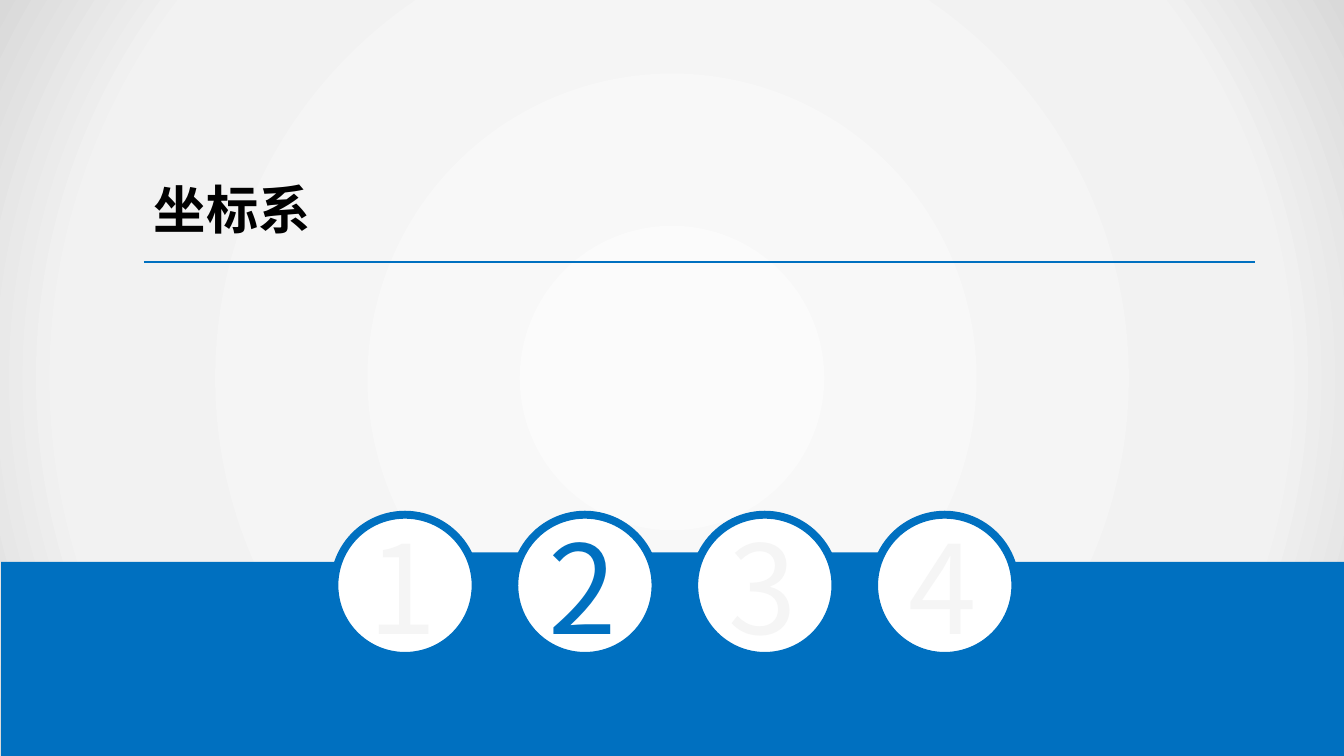
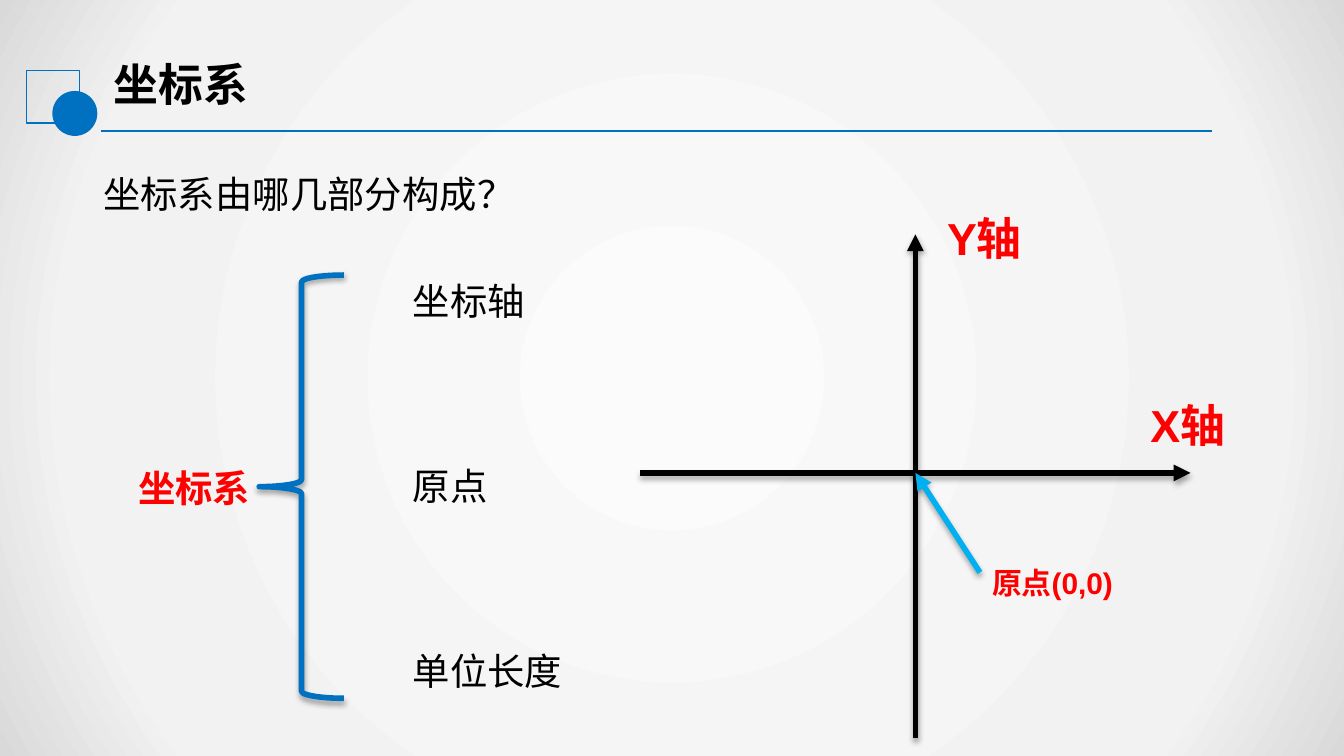
from math import cos, pi, sin

from lxml.etree import SubElement
from pptx import Presentation
from pptx.dml.color import RGBColor
from pptx.enum.shapes import MSO_CONNECTOR, MSO_SHAPE
from pptx.enum.text import MSO_ANCHOR, MSO_AUTO_SIZE
from pptx.oxml import parse_xml
from pptx.oxml.ns import nsdecls, qn
from pptx.util import Cm, Pt

BLUE = RGBColor(0x00, 0x70, 0xC0)
SKY = RGBColor(0x00, 0xB0, 0xF0)
RED = RGBColor(0xFF, 0x00, 0x00)
BLACK = RGBColor(0x00, 0x00, 0x00)
WHITE = RGBColor(0xFF, 0xFF, 0xFF)
PALE = RGBColor(0xF5, 0xF5, 0xF5)
GLOW = ((0, "FBFBFB"), (79, "F2F2F2"), (100, "D9D9D9"))

CJK = "Noto Sans CJK SC"
LATIN = "Arial"
WIDTH, HEIGHT = 25.4, 14.29


def set_background(master):
    """Give every slide a radial glow through the master."""
    master.background.fill.solid()
    stops = "".join(
        f'<a:gs pos="{pos * 1000}"><a:srgbClr val="{color}"/></a:gs>'
        for pos, color in GLOW)
    bg = master.element.find(".//" + qn("p:bgPr"))
    bg.replace(bg[0], parse_xml(
        f'<a:gradFill {nsdecls("a")} rotWithShape="1"><a:gsLst>{stops}</a:gsLst>'
        '<a:path path="circle"><a:fillToRect l="50000" t="50000" r="50000" '
        'b="50000"/></a:path></a:gradFill>'))


def set_effects(sp, shadow=False):
    """Drop the theme's effects, or replace them by a soft shadow below."""
    spPr = sp._element.spPr
    for old in spPr.findall(qn("a:effectLst")):
        spPr.remove(old)
    effects = SubElement(spPr, qn("a:effectLst"))
    if shadow:
        outer = SubElement(effects, qn("a:outerShdw"), blurRad=str(Pt(3.1)),
                           dist=str(Pt(1.8)), dir="5400000", rotWithShape="0")
        color = SubElement(outer, qn("a:srgbClr"), val="000000")
        SubElement(color, qn("a:alpha"), val="35000")


def style_shape(sp, fill=None, line=None, weight=0.75, shadow=False):
    if fill is None:
        sp.fill.background()
    else:
        sp.fill.solid()
        sp.fill.fore_color.rgb = fill
    if line is None:
        sp.line.fill.background()
    else:
        sp.line.color.rgb = line
        sp.line.width = Pt(weight)
    set_effects(sp, shadow)


def add_shape(s, kind, x, y, w, h, **style):
    sp = s.shapes.add_shape(kind, Cm(x), Cm(y), Cm(w), Cm(h))
    style_shape(sp, **style)


def add_line(s, x1, y1, x2, y2, color=BLUE, weight=1.25):
    cxn = s.shapes.add_connector(
        MSO_CONNECTOR.STRAIGHT, Cm(x1), Cm(y1), Cm(x2), Cm(y2))
    cxn.line.color.rgb = color
    cxn.line.width = Pt(weight)
    set_effects(cxn)
    return cxn


def add_arrow(s, x1, y1, x2, y2, color=BLACK):
    cxn = add_line(s, x1, y1, x2, y2, color, 3)
    SubElement(cxn._element.spPr.find(qn("a:ln")), qn("a:tailEnd"), type="triangle")
    set_effects(cxn, shadow=True)


def add_text(s, text, x, y, w, h, size, color=BLACK, bold=False, font=LATIN, wrap=True):
    sp = s.shapes.add_textbox(Cm(x), Cm(y), Cm(w), Cm(h))
    tf = sp.text_frame
    tf.word_wrap = wrap
    tf.auto_size = MSO_AUTO_SIZE.SHAPE_TO_FIT_TEXT
    r = tf.paragraphs[0].add_run()
    r.text = text
    r.font.size = Pt(size)
    r.font.bold = bold
    r.font.color.rgb = color
    r.font.name = font
    rPr = r._r.get_or_add_rPr()
    rPr.set("lang", "zh-CN")
    SubElement(rPr, qn("a:ea"), typeface=CJK)
    return tf


def add_band(s, notch_centres, top=10.62, radius=0.42, steps=12):
    """Draw the bottom band with a half-round notch at each centre."""
    points = []
    for centre in notch_centres:
        for i in range(steps + 1):
            angle = pi * i / steps
            points.append((centre - radius * cos(angle), top + radius * sin(angle)))
    points += [(WIDTH, top), (WIDTH, HEIGHT), (0.02, HEIGHT)]
    builder = s.shapes.build_freeform(Cm(0.02), Cm(top))
    builder.add_line_segments([(Cm(x), Cm(y)) for x, y in points])
    style_shape(builder.convert_to_shape(), fill=BLUE)


def add_step_circles(s, current, count=4, left=6.32, pitch=3.4, size=2.67):
    lefts = [left + pitch * i for i in range(count)]
    links = [x + (size + pitch) / 2 for x in lefts[:-1]]
    for centre in links:
        add_shape(s, MSO_SHAPE.RECTANGLE, centre - 0.6, 10.44, 1.2, 1.04, fill=BLUE)
    add_band(s, links)
    for number, x in enumerate(lefts, 1):
        add_shape(s, MSO_SHAPE.OVAL, x, 9.73, size, size,
                  fill=WHITE, line=BLUE, weight=4.25)
        add_text(s, str(number), x + 0.4, 9.55, 1.78, 3.07, 66,
                 BLUE if number == current else PALE, font=CJK, wrap=False)


def add_slide_title(s, text):
    add_text(s, text, 1.9, 0.94, 11.6, 1.27, 24, bold=True, font=CJK)
    add_shape(s, MSO_SHAPE.RECTANGLE, 0.5, 1.33, 1, 1, line=BLUE)
    add_line(s, 1.9, 2.47, 22.9, 2.47)
    add_shape(s, MSO_SHAPE.OVAL, 0.99, 1.72, 0.85, 0.85, fill=BLUE)


def build_section(s):
    tf = add_text(s, "坐标系", 2.72, 2.95, 10.77, 2, 28, bold=True, font=CJK)
    tf.auto_size = MSO_AUTO_SIZE.NONE
    tf.vertical_anchor = MSO_ANCHOR.MIDDLE
    tf.margin_left = tf.margin_right = Cm(0.19)
    tf.margin_top = tf.margin_bottom = Cm(0.1)
    add_line(s, 2.72, 4.95, 23.72, 4.95)
    add_step_circles(s, current=2)


def build_coordinates(s):
    add_slide_title(s, "坐标系")
    add_text(s, "坐标系由哪几部分构成？", 1.7, 3.12, 7.8, 1.11, 20)

    add_text(s, "坐标系", 2.36, 8.66, 3.07, 1.11, 20, RED, bold=True)
    add_shape(s, MSO_SHAPE.LEFT_BRACE, 4.9, 5.2, 1.6, 8,
              line=BLUE, weight=3, shadow=True)
    for i, part in enumerate(("坐标轴", "原点", "单位长度")):
        add_text(s, part, 7.55, 5.13 + 3.5 * i, 3.8, 1.11, 20)

    origin_x, origin_y = 17.3, 8.94
    add_arrow(s, 12.1, origin_y, 22.5, origin_y)
    add_arrow(s, origin_x, 13.95, origin_x, 4.43)
    add_text(s, "X轴", 21.49, 7.39, 3.2, 1.27, 24, RED, bold=True)
    add_text(s, "Y轴", 17.65, 3.86, 3.2, 1.27, 24, RED, bold=True)
    add_text(s, "原点(0,0)", 18.5, 10.54, 4, 0.94, 16, RED, bold=True)
    add_arrow(s, 18.52, 10.82, origin_x, origin_y, SKY)


def main():
    prs = Presentation()
    prs.slide_width, prs.slide_height = Cm(WIDTH), Cm(HEIGHT)
    set_background(prs.slide_master)
    for build in (build_section, build_coordinates):
        build(prs.slides.add_slide(prs.slide_layouts[6]))
    prs.save("out.pptx")


if __name__ == "__main__":
    main()
